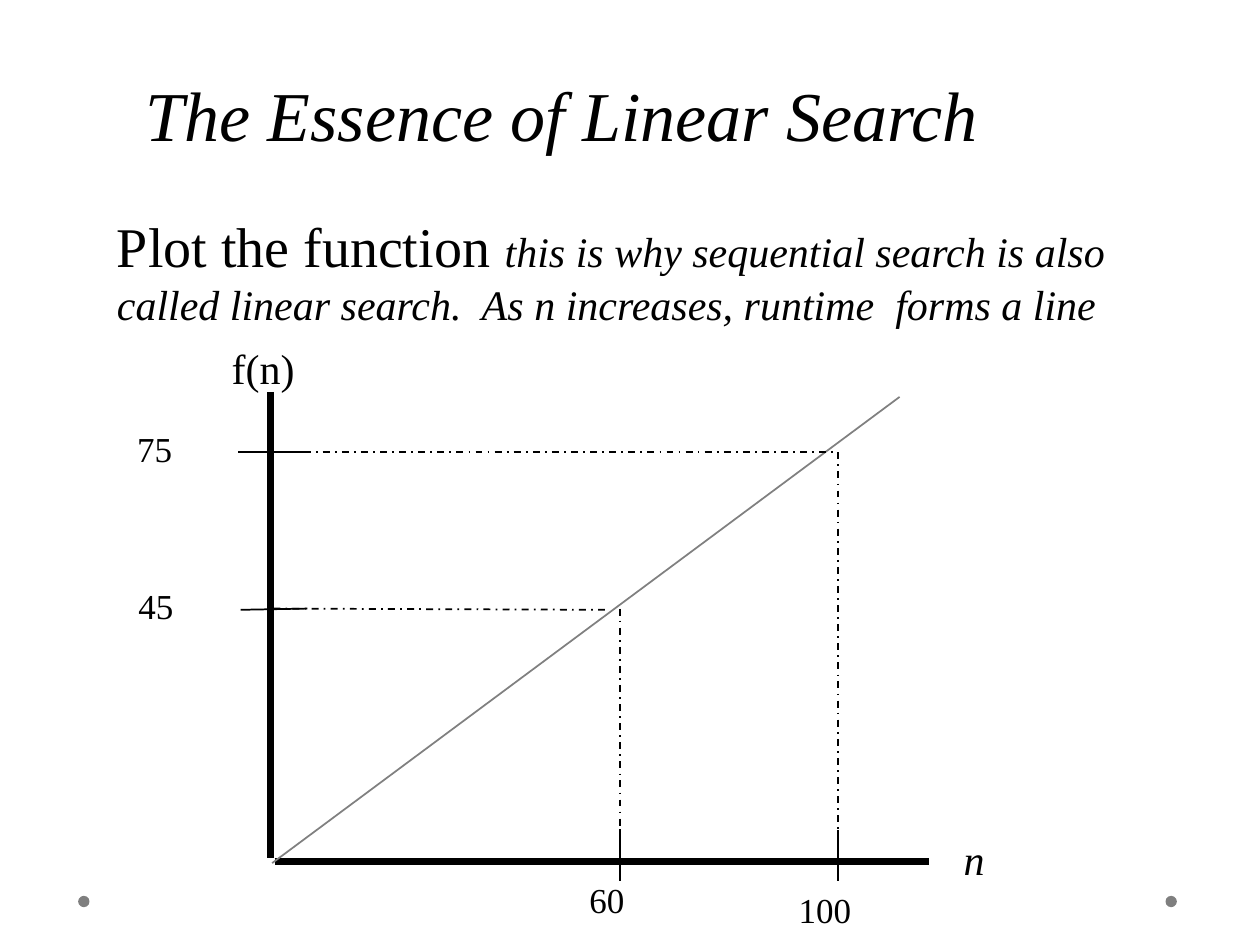
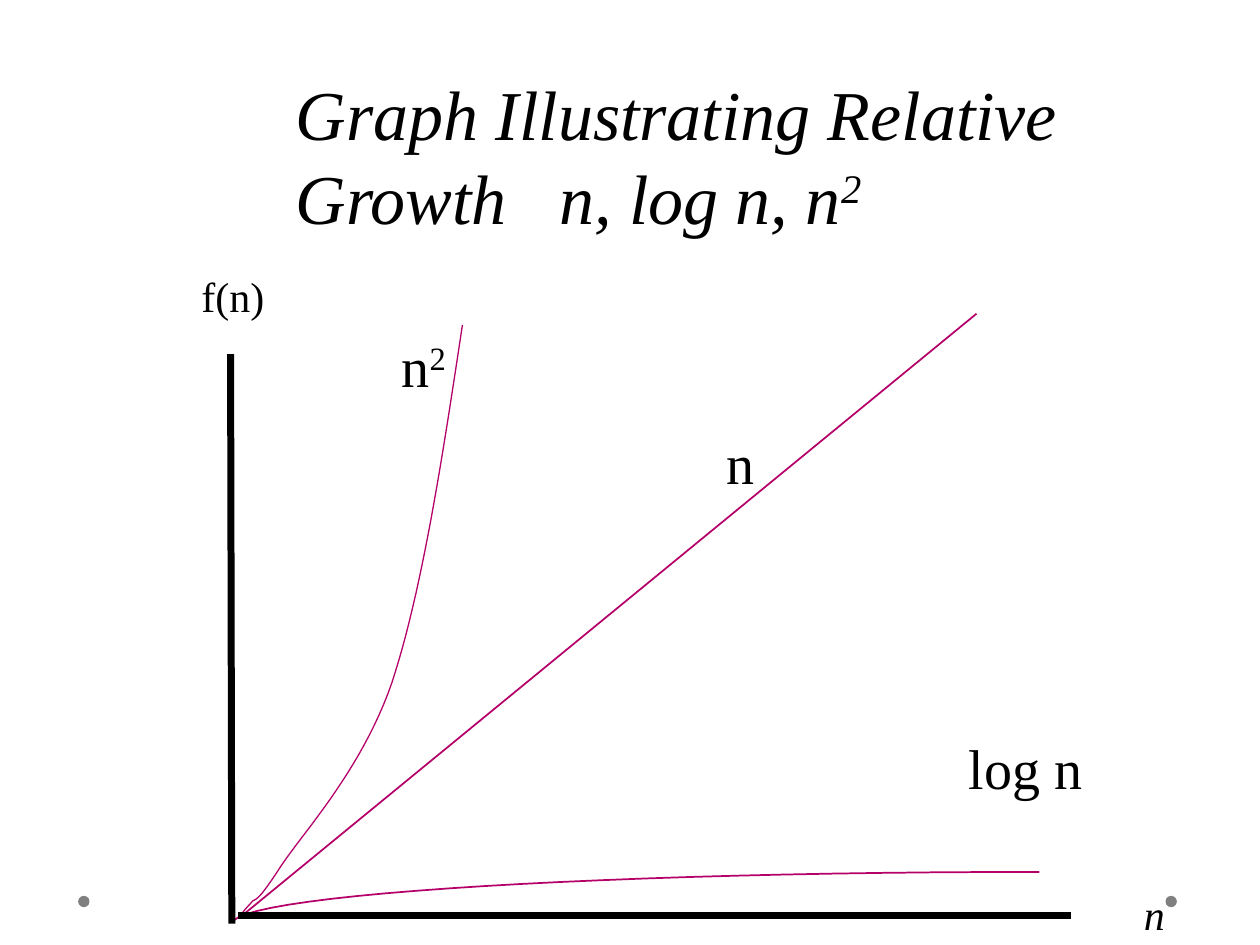
from dataclasses import dataclass

from lxml import etree
from pptx import Presentation
from pptx.dml.color import RGBColor
from pptx.enum.dml import MSO_LINE
from pptx.enum.shapes import MSO_CONNECTOR, MSO_SHAPE
from pptx.enum.text import MSO_ANCHOR, MSO_AUTO_SIZE, PP_ALIGN
from pptx.oxml.ns import qn
from pptx.util import Emu, Pt

PX = 9144  # EMU per px, 100 px to the inch
STRAIGHT, OVAL = MSO_CONNECTOR.STRAIGHT, MSO_SHAPE.OVAL
DASH_DOT = MSO_LINE.DASH_DOT
LEFT, CENTER = PP_ALIGN.LEFT, PP_ALIGN.CENTER
TOP, MIDDLE = MSO_ANCHOR.TOP, MSO_ANCHOR.MIDDLE
GROW, FIXED = MSO_AUTO_SIZE.SHAPE_TO_FIT_TEXT, MSO_AUTO_SIZE.NONE


@dataclass(frozen=True)
class Theme:
    font: str = "Times New Roman"
    ink: str = "000000"
    grey: str = "808080"
    dot: str = "7F7F7F"
    curve: str = "B50069"
    title: int = 40
    large: int = 32
    label: int = 24
    value: int = 20
    axis_line: float = 4
    thin_line: float = 1
    fine_line: float = 0.75


THEME = Theme()

# Shared content
PAGE_SIZE = (1000, 750)
FOOTER_DOTS = {"lefts": (925, 62), "top": 711, "size": 9}
CURVE_STEPS = 24

# Slide 1: spans are (text, size, italic, superscript)
SEARCH_TITLE = [("The Essence of Linear Search", THEME.title, True, False)]
SEARCH_INTRO = [
    ("Plot the function ", THEME.large, False, False),
    ("this is why sequential search is also ", THEME.label, True, False),
    ("\n", THEME.label, True, False),
    ("called linear search.  As n increases, runtime  forms a line", THEME.label, True, False),
]
SEARCH_AXES = [(215, 311, 215, 681), (218, 684, 737, 684)]
SEARCH_LINE = (216, 685, 714, 315)
SEARCH_TICKS = [(241, 359, 189, 359), (244, 483, 191, 484),
                (665, 659, 665, 699), (492, 658, 492, 699)]
SEARCH_GUIDES = [(241, 359, 664, 359), (665, 359, 665, 658),
                 (217, 483, 483, 484), (492, 483, 492, 690)]
SEARCH_VALUES = [("75", (99, 334, 100, 43)), ("45", (100, 459, 100, 43)),
                 ("100", (624, 700, 108, 43)), ("60", (458, 692, 108, 43))]

# Slide 2
GROWTH_TITLE = [
    ("Graph Illustrating Relative Growth   n, log n, n", THEME.title, True, False),
    ("2", THEME.title, True, True),
]
GROWTH_AXES = [(189, 727, 850, 727), (183, 281, 184, 733)]
GROWTH_LINE = (193, 726, 775, 249)
# Each curve is a start point followed by (control, control, end) triples
SQUARE_CURVE = [(192, 725), (193, 724), (194, 722), (199, 717),
                (203, 711), (201, 721), (220, 692),
                (238, 663), (286, 614), (311, 542),
                (335, 469), (351, 364), (367, 258)]
LOG_CURVE = [(185, 731), (204, 709), (485, 692), (825, 692)]
GROWTH_CURVES = [(SQUARE_CURVE, THEME.fine_line), (LOG_CURVE, THEME.thin_line)]
GROWTH_LABELS = [
    ([("n", THEME.large, False, False)], (567, 335, 58, 63)),
    ([("log n", THEME.large, False, False)], (759, 577, 133, 63)),
    ([("n", THEME.large, False, False), ("2", THEME.large, False, True)],
     (309, 258, 133, 63)),
]


def emu(*lengths):
    return [Emu(round(length * PX)) for length in lengths]


def add_text(page, spans, place, align=LEFT, anchor=TOP, wrap=True, size_mode=GROW):
    box = page.shapes.add_textbox(*emu(*place))
    frame = box.text_frame
    frame.word_wrap, frame.auto_size, frame.vertical_anchor = wrap, size_mode, anchor
    para = frame.paragraphs[0]
    para.alignment = align
    for text, size, italic, raised in spans:
        if text == "\n":
            para.add_line_break()
            continue
        span = para.add_run()
        span.text = text
        font = span.font
        font.name, font.size, font.italic = THEME.font, Pt(size), italic
        font.color.rgb = RGBColor.from_string(THEME.ink)
        if raised:
            font._element.set("baseline", "30000")


def style_line(line, color, width, dash=None):
    line.color.rgb = RGBColor.from_string(color)
    line.width = Pt(width)
    if dash is not None:
        line.dash_style = dash


def add_line(page, ends, color=THEME.ink, width=THEME.thin_line, dash=None):
    connector = page.shapes.add_connector(STRAIGHT, *emu(*ends))
    style_line(connector.line, color, width, dash)
    etree.SubElement(connector._element.spPr, qn("a:effectLst"))


def bezier_point(corners, t):
    weights = ((1 - t) ** 3, 3 * t * (1 - t) ** 2, 3 * t * t * (1 - t), t ** 3)
    return tuple(sum(w * corner[axis] for w, corner in zip(weights, corners))
                 for axis in (0, 1))


def add_curve(page, nodes, width):
    points = [bezier_point(nodes[first:first + 4], step / CURVE_STEPS)
              for first in range(0, len(nodes) - 1, 3)
              for step in range(1, CURVE_STEPS + 1)]
    builder = page.shapes.build_freeform(*emu(*nodes[0]))
    builder.add_line_segments([emu(*point) for point in points], close=False)
    curve = builder.convert_to_shape()
    curve.shadow.inherit = False
    curve.fill.background()
    style_line(curve.line, THEME.curve, width)


def add_page(deck):
    page = deck.slides.add_slide(deck.slide_layouts[6])
    size = FOOTER_DOTS["size"]
    for left in FOOTER_DOTS["lefts"]:
        dot = page.shapes.add_shape(OVAL, *emu(left, FOOTER_DOTS["top"], size, size))
        dot.shadow.inherit = False
        dot.fill.solid()
        dot.fill.fore_color.rgb = RGBColor.from_string(THEME.dot)
        dot.line.fill.background()
    return page


def add_title(page, spans, place, align=LEFT):
    add_text(page, spans, place, align, MIDDLE, size_mode=FIXED)


def add_axes(page, axes, f_corner, n_corner):
    for ends in axes:
        add_line(page, ends, width=THEME.axis_line)
    add_text(page, [("f(n)", THEME.label, False, False)], (*f_corner, 91, 50))
    add_text(page, [("n", THEME.label, True, False)], (*n_corner, 36, 50), wrap=False)


def build_search_page(deck):
    page = add_page(deck)
    add_title(page, SEARCH_TITLE, (8, 17, 876, 146), CENTER)
    add_text(page, SEARCH_INTRO, (83, 163, 814, 103), wrap=False)
    add_axes(page, SEARCH_AXES, (174, 267), (755, 657))
    add_line(page, SEARCH_LINE, THEME.grey)
    for ends in SEARCH_TICKS:
        add_line(page, ends)
    for ends in SEARCH_GUIDES:
        add_line(page, ends, dash=DASH_DOT)
    for value, place in SEARCH_VALUES:
        add_text(page, [(value, THEME.value, False, False)], place)


def build_growth_page(deck):
    page = add_page(deck)
    add_title(page, GROWTH_TITLE, (225, 50, 742, 146))
    for nodes, width in GROWTH_CURVES:
        add_curve(page, nodes, width)
    add_line(page, GROWTH_LINE, THEME.curve)
    for spans, place in GROWTH_LABELS:
        add_text(page, spans, place)
    add_axes(page, GROWTH_AXES, (150, 210), (898, 700))


def main():
    deck = Presentation()
    deck.slide_width, deck.slide_height = emu(*PAGE_SIZE)
    build_search_page(deck)
    build_growth_page(deck)
    deck.save("out.pptx")


if __name__ == "__main__":
    main()
